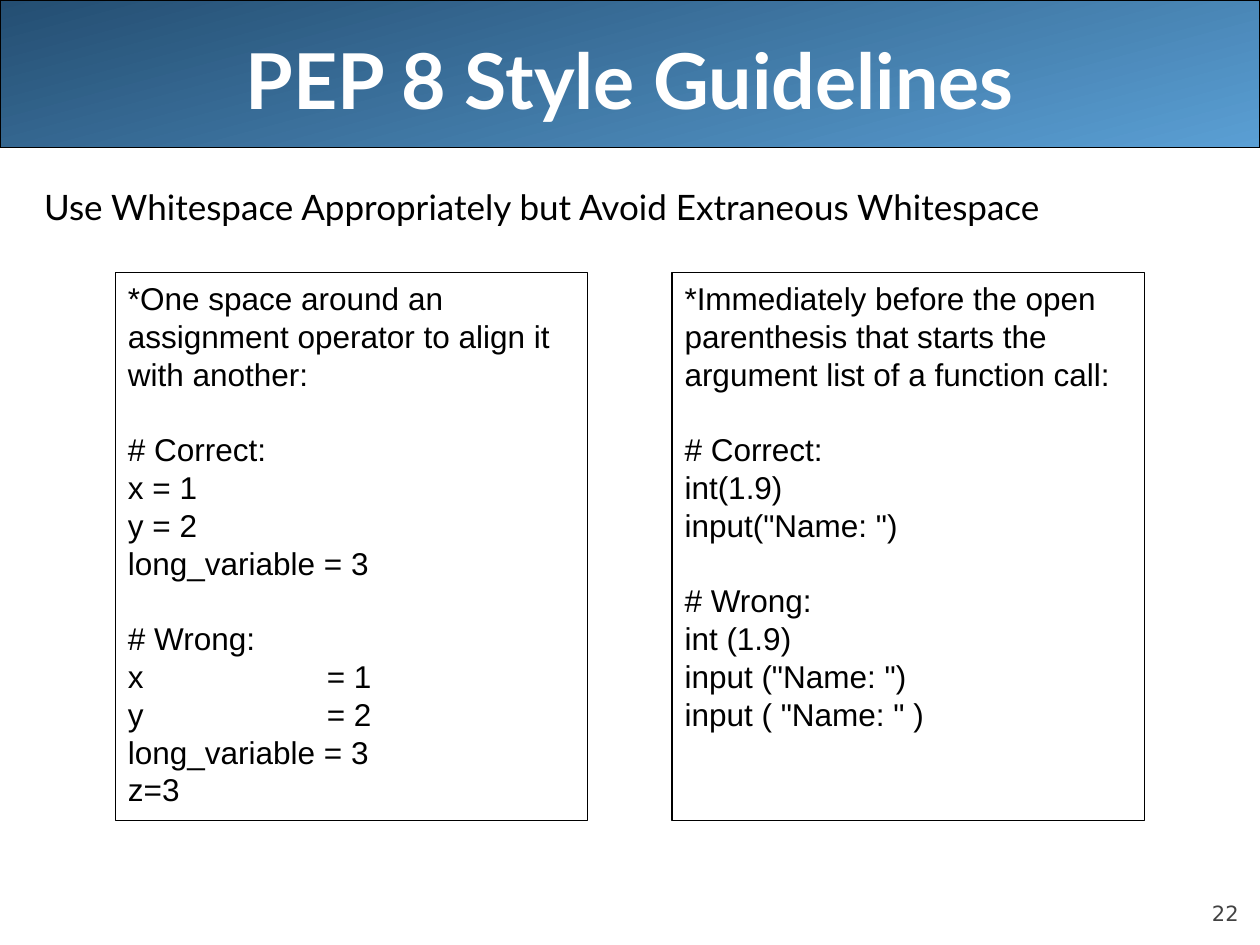
"""Build a slide on whitespace in the PEP 8 style guidelines."""
from dataclasses import dataclass

from lxml import etree
from pptx import Presentation
from pptx.dml.color import RGBColor
from pptx.enum.shapes import MSO_SHAPE
from pptx.enum.text import MSO_ANCHOR, PP_ALIGN
from pptx.oxml.ns import qn
from pptx.util import Cm, Pt

RECTANGLE = MSO_SHAPE.RECTANGLE
ROUNDED = MSO_SHAPE.ROUNDED_RECTANGLE
TOP, MIDDLE, BOTTOM = MSO_ANCHOR.TOP, MSO_ANCHOR.MIDDLE, MSO_ANCHOR.BOTTOM
LEFT, CENTER, RIGHT = PP_ALIGN.LEFT, PP_ALIGN.CENTER, PP_ALIGN.RIGHT

BLACK = "000000"
SLIDE_WIDTH, SLIDE_HEIGHT = Cm(25.4), Cm(19.05)
PANEL_TOP, PANEL_WIDTH, PANEL_HEIGHT = Cm(5.5), Cm(9.52), Cm(11.04)
PANEL_MARGIN = Cm(2.33)
LINE_HEIGHT = Pt(21.6)
EQUALS_TAB = Cm(4.01)


@dataclass(frozen=True)
class Box:
    left: int
    top: int
    width: int
    height: int


@dataclass(frozen=True)
class Label:
    text: str
    box: Box
    font: str
    size: int
    color: str
    align: int = LEFT
    anchor: int = TOP
    bold: bool = False
    inset: bool = True
    space_before: int = 0


@dataclass(frozen=True)
class Panel:
    rule: str
    correct: tuple[str, ...]
    wrong: tuple[str, ...]


LABELS = (
    Label("22", Box(Cm(22.86), Cm(17.65), Cm(2.11), Cm(1.02)), "DejaVu Sans", 12,
          "424242", align=RIGHT, anchor=BOTTOM, inset=False, space_before=5),
    Label("PEP 8 Style Guidelines", Box(Cm(1.27), 0, Cm(22.86), Cm(3.18)), "Lato", 44,
          "FFFFFF", align=CENTER, anchor=MIDDLE, bold=True),
    Label("Use Whitespace Appropriately but Avoid Extraneous Whitespace",
          Box(Cm(0.64), Cm(3.61), Cm(24.13), Cm(1.47)), "Lato", 20, BLACK, space_before=4),
)
PANELS = (
    Panel("*One space around an assignment operator to align it with another:",
          ("x = 1", "y = 2", "long_variable = 3"),
          ("x\t= 1", "y\t= 2", "long_variable = 3", "z=3")),
    Panel("*Immediately before the open parenthesis that starts the argument list of a function call:",
          ("int(1.9)", 'input("Name: ")'),
          ("int (1.9)", 'input ("Name: ")', 'input ( "Name: " )')),
)


def rgb(color: str) -> RGBColor:
    """Turn a hex string into a colour."""
    return RGBColor.from_string(color)


def format_runs(paragraph, font: str, size: int, color: str, bold: bool = False) -> None:
    """Give every run of a paragraph the same look."""
    for run in paragraph.runs:
        run.font.name = font
        run.font.size = Pt(size)
        run.font.bold = bold
        run.font.color.rgb = rgb(color)


def add_outlined(slide, preset: int, box: Box):
    """Add a preset shape with a thin black outline and no shadow."""
    shape = slide.shapes.add_shape(preset, box.left, box.top, box.width, box.height)
    shape.shadow.inherit = False
    shape.line.color.rgb = rgb(BLACK)
    shape.line.width = Pt(0.75)
    return shape


def add_banner(slide) -> None:
    """Draw the gradient band behind the title."""
    banner = add_outlined(slide, ROUNDED, Box(0, 0, SLIDE_WIDTH, Cm(2.97)))
    banner.adjustments[0] = 0
    banner.fill.gradient()
    banner.fill.gradient_angle = 285
    for stop, color in zip(banner.fill.gradient_stops, ("244E72", "5A9FD4")):
        stop.color.rgb = rgb(color)


def add_label(slide, label: Label) -> None:
    """Draw one line of text in its own box."""
    box = label.box
    frame = slide.shapes.add_textbox(box.left, box.top, box.width, box.height).text_frame
    frame.word_wrap = True
    frame.vertical_anchor = label.anchor
    if not label.inset:
        frame.margin_left = frame.margin_right = frame.margin_top = frame.margin_bottom = 0
    frame.text = label.text
    paragraph = frame.paragraphs[0]
    paragraph.alignment = label.align
    paragraph.space_before = Pt(label.space_before)
    format_runs(paragraph, label.font, label.size, label.color, label.bold)


def add_tab_stop(paragraph, position: int) -> None:
    """Give a paragraph one left tab stop."""
    tabs = etree.SubElement(paragraph._p.get_or_add_pPr(), qn("a:tabLst"))
    etree.SubElement(tabs, qn("a:tab"), pos=str(position), algn="l")


def add_panel(slide, panel: Panel, left: int) -> None:
    """Draw a rule with its correct and wrong code."""
    shape = add_outlined(slide, RECTANGLE, Box(left, PANEL_TOP, PANEL_WIDTH, PANEL_HEIGHT))
    shape.fill.background()
    frame = shape.text_frame
    frame.word_wrap = True
    frame.vertical_anchor = TOP
    headings = ("# Correct:", "# Wrong:")
    lines = (panel.rule, headings[0], *panel.correct, headings[1], *panel.wrong)
    frame.text = "\n".join(lines)
    for paragraph, line in zip(frame.paragraphs, lines):
        paragraph.alignment = LEFT
        paragraph.line_spacing = LINE_HEIGHT
        if line in headings:
            paragraph.space_before = LINE_HEIGHT
        if "\t" in line:
            add_tab_stop(paragraph, EQUALS_TAB)
        format_runs(paragraph, "Arial", 18, BLACK)


def main() -> None:
    """Build and save the slide."""
    deck = Presentation()
    deck.slide_width, deck.slide_height = SLIDE_WIDTH, SLIDE_HEIGHT
    slide = deck.slides.add_slide(deck.slide_layouts[6])
    add_banner(slide)
    for label in LABELS:
        add_label(slide, label)
    for panel, left in zip(PANELS, (PANEL_MARGIN, SLIDE_WIDTH - PANEL_MARGIN - PANEL_WIDTH)):
        add_panel(slide, panel, left)
    deck.save("out.pptx")


if __name__ == "__main__":
    main()
